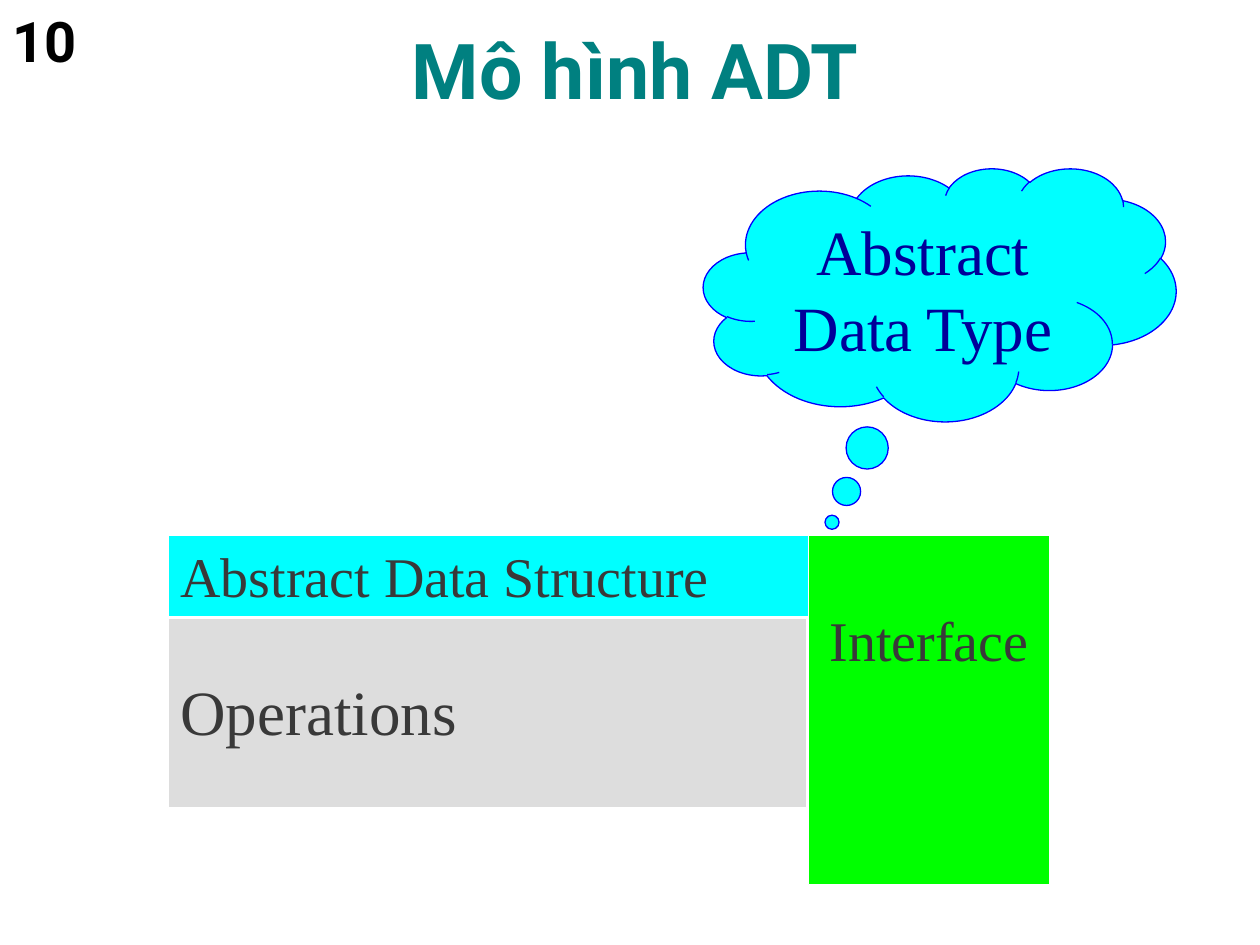
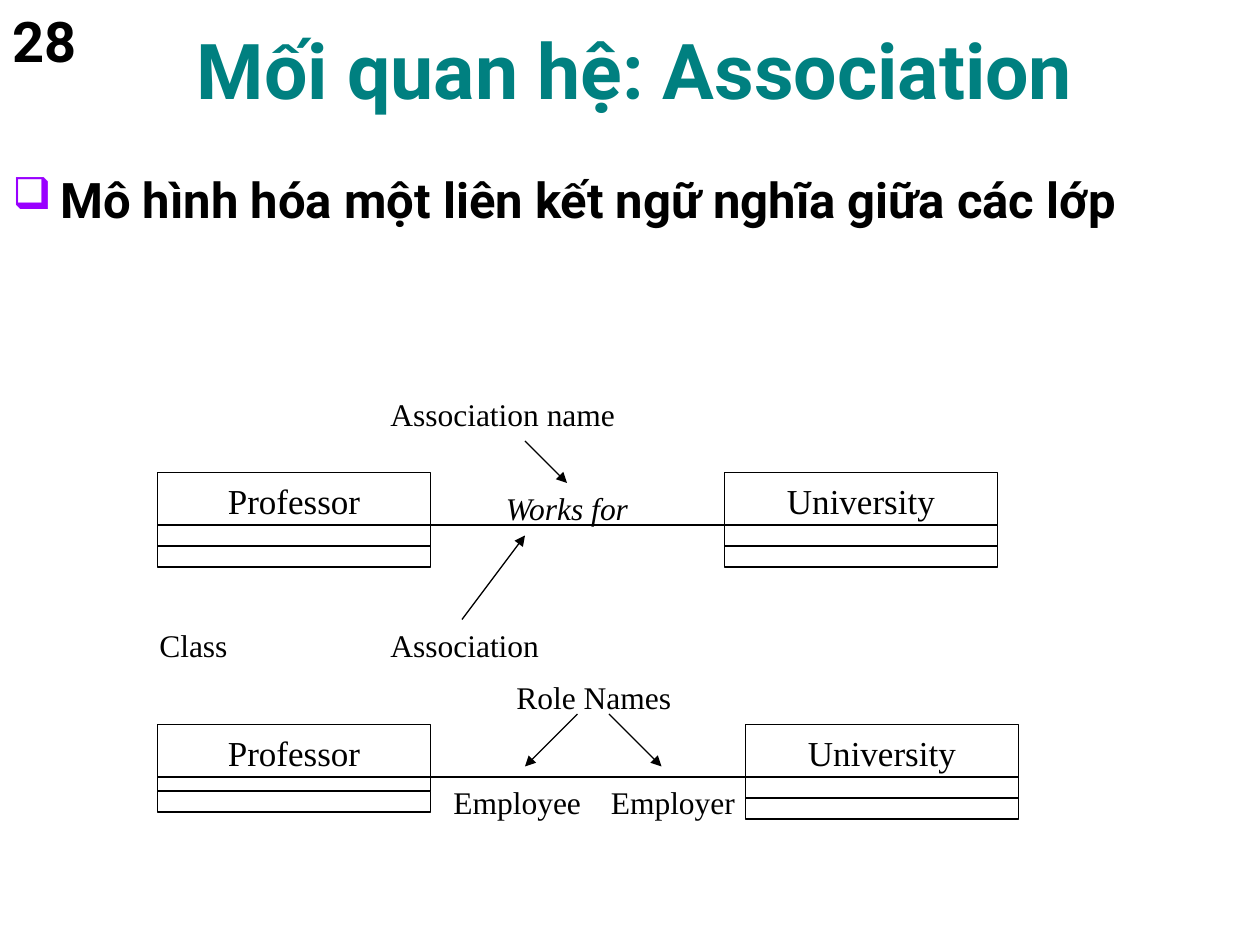
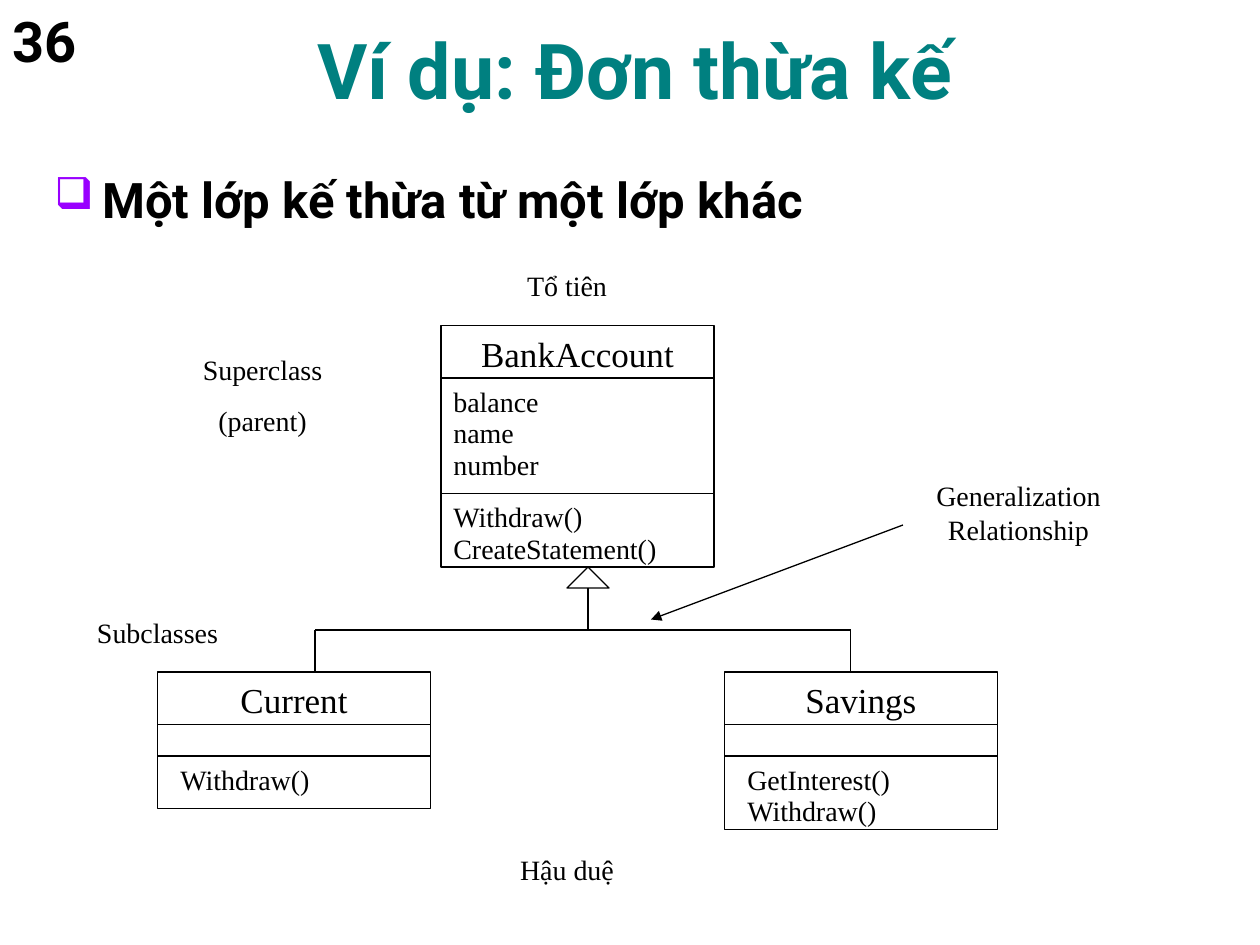
from dataclasses import dataclass

from lxml.etree import SubElement
from pptx import Presentation
from pptx.dml.color import RGBColor
from pptx.enum.shapes import MSO_CONNECTOR, MSO_SHAPE
from pptx.enum.text import MSO_ANCHOR, PP_ALIGN
from pptx.oxml.ns import qn
from pptx.util import Emu, Inches, Pt

# Grid: 120 columns by 90 rows over the slide
WIDE, TALL = Inches(10), Inches(7.5)
COL, ROW = WIDE / 120, TALL / 90

BLACK = RGBColor(0x00, 0x00, 0x00)
WHITE = RGBColor(0xFF, 0xFF, 0xFF)
TEAL = RGBColor(0x00, 0x80, 0x80)
PURPLE = RGBColor(0x99, 0x00, 0xFF)
GREEN = RGBColor(0x00, 0xFF, 0x00)
CYAN = RGBColor(0x00, 0xFF, 0xFF)
BLUE = RGBColor(0x00, 0x00, 0xFF)
NAVY = RGBColor(0x00, 0x00, 0x99)
GRAY = RGBColor(0xDD, 0xDD, 0xDD)
DARK = RGBColor(0x39, 0x39, 0x39)

SANS, SERIF = "Roboto", "Times New Roman"
LEFT, MID = PP_ALIGN.LEFT, PP_ALIGN.CENTER
CARD_W, HEAD_H, STEP = 26, 5.25, 3


@dataclass(frozen=True)
class Area:
    col: float
    row: float
    wide: float
    tall: float

    def place(self) -> tuple[Emu, Emu, Emu, Emu]:
        return (Emu(round(self.col * COL)), Emu(round(self.row * ROW)),
                Emu(round(self.wide * COL)), Emu(round(self.tall * ROW)))


@dataclass(frozen=True)
class Style:
    size: float
    color: RGBColor = BLACK
    face: str = SERIF
    bold: bool = False
    slant: bool = False
    align: PP_ALIGN = LEFT
    mark: bool = False


@dataclass(frozen=True)
class Block:
    text: str
    area: Area
    fill: RGBColor
    style: Style
    drop: float = 0.05


@dataclass(frozen=True)
class Cell:
    tall: float
    items: tuple[str, ...] = ()


@dataclass(frozen=True)
class Card:
    name: str
    col: float
    row: float
    cells: tuple[Cell, ...]
    inset: float = 0


@dataclass(frozen=True)
class Line:
    start: tuple[float, float]
    end: tuple[float, float]
    arrow: bool = False


TITLE = Style(44, TEAL, SANS, bold=True, align=MID)
NUMBER = Style(32, face=SANS, bold=True)
BODY = Style(28, face=SANS, bold=True, mark=True)
NAME = Style(20, align=MID)
NOTE = Style(18)
SLANT = Style(18, slant=True)
ITEM = Style(16)
TAG = Style(16, align=MID)


# Text
def bullet(para) -> None:
    prop = para._p.get_or_add_pPr()
    prop.set("marL", str(Inches(0.38)))
    prop.set("indent", str(-Inches(0.38)))
    tint = SubElement(prop, qn("a:buClr"))
    SubElement(tint, qn("a:srgbClr"), val=str(PURPLE))
    SubElement(prop, qn("a:buSzPct"), val="90000")
    SubElement(prop, qn("a:buChar"), char="❑")
    para.line_spacing = 1.1


def write(frame, text: str, style: Style, gap: float = 0) -> None:
    frame.word_wrap = True
    frame.text = text
    for i, para in enumerate(frame.paragraphs):
        if style.mark:
            bullet(para)
        para.alignment = style.align
        if i:
            para.space_before = Pt(gap)
        font = para.font
        font.name, font.size = style.face, Pt(style.size)
        font.bold, font.italic = style.bold, style.slant
        font.color.rgb = style.color


def label(slide, text: str, area: Area, style: Style, gap: float = 0):
    box = slide.shapes.add_textbox(*area.place())
    write(box.text_frame, text, style, gap)
    return box


# Shapes
def shape(slide, kind: MSO_SHAPE, area: Area, fill: RGBColor = WHITE,
          edge: RGBColor = BLACK):
    form = slide.shapes.add_shape(kind, *area.place())
    form.shadow.inherit = False
    form.fill.solid()
    form.fill.fore_color.rgb = fill
    form.line.color.rgb = edge
    form.line.width = Pt(0.75)
    return form


def block(slide, data: Block) -> None:
    form = shape(slide, MSO_SHAPE.RECTANGLE, data.area, data.fill, WHITE)
    frame = form.text_frame
    write(frame, data.text, data.style)
    frame.vertical_anchor = MSO_ANCHOR.TOP
    frame.margin_top = Inches(data.drop)


def card(slide, data: Card) -> None:
    head = shape(slide, MSO_SHAPE.RECTANGLE,
                 Area(data.col, data.row, CARD_W, HEAD_H))
    write(head.text_frame, data.name, NAME)
    head.text_frame.vertical_anchor = MSO_ANCHOR.MIDDLE
    top = data.row + 5
    for cell in data.cells:
        shape(slide, MSO_SHAPE.RECTANGLE,
              Area(data.col, top, CARD_W, cell.tall))
        for i, item in enumerate(cell.items):
            label(slide, item, Area(data.col + data.inset, top + i * STEP,
                                    CARD_W - data.inset, 4.4), ITEM)
        top += cell.tall


def line(slide, data: Line) -> None:
    (x1, y1), (x2, y2) = data.start, data.end
    link = slide.shapes.add_connector(
        MSO_CONNECTOR.STRAIGHT, round(x1 * COL), round(y1 * ROW),
        round(x2 * COL), round(y2 * ROW))
    link.line.color.rgb = BLACK
    link.line.width = Pt(0.75)
    if data.arrow:
        SubElement(link.line._get_or_add_ln(), qn("a:tailEnd"),
                   type="triangle")
    SubElement(link._element.spPr, qn("a:effectLst"))


# Title and page number shared by all slides
def page(deck, title: str, num: int):
    slide = deck.slides.add_slide(deck.slide_layouts[6])
    box = label(slide, title, Area(4, 2, 113, 9.5), TITLE)
    box.text_frame.vertical_anchor = MSO_ANCHOR.BOTTOM
    label(slide, str(num), Area(0, 0, 13, 8.5), NUMBER)
    return slide


def model(deck) -> None:
    slide = page(deck, "Mô hình ADT", 10)
    for data in (
        Block("Interface", Area(77, 51, 23, 33.25), GREEN,
              Style(32, DARK, align=MID), 0.56),
        Block("Operations", Area(16, 58.9, 60.85, 18), GRAY,
              Style(36, DARK), 0.43),
        Block("Abstract Data Structure", Area(16, 51, 61, 7.7), CYAN,
              Style(32, DARK)),
    ):
        block(slide, data)
    cloud = shape(slide, MSO_SHAPE.CLOUD_CALLOUT, Area(67, 16, 45, 24.1),
                  CYAN, BLUE)
    cloud.adjustments[0], cloud.adjustments[1] = -0.228, 0.9
    write(cloud.text_frame, "Abstract Data Type", Style(36, NAVY, align=MID))
    cloud.text_frame.vertical_anchor = MSO_ANCHOR.TOP


def bond(deck) -> None:
    slide = page(deck, "Mối quan hệ: Association", 28)
    label(slide, "Mô hình hóa một liên kết ngữ nghĩa giữa các lớp",
          Area(0, 15, 120, 70), BODY)
    even = (Cell(2), Cell(2))
    for data in (
        Card("Professor", 15, 45, even),
        Card("University", 69, 45, even),
        Card("Professor", 15, 69, (Cell(1.35), Cell(2))),
        Card("University", 71, 69, even),
    ):
        card(slide, data)
    for text, col, row, wide, style in (
        ("Association name", 36, 37, 36, NOTE),
        ("Works for", 47, 46, 16, SLANT),
        ("Class", 14, 59, 13, NOTE),
        ("Association", 36, 59, 22, NOTE),
        ("Employee", 42, 74, 15, NOTE),
        ("Employer", 57, 74, 17, NOTE),
        ("Role Names", 48, 64, 21, NOTE),
    ):
        label(slide, text, Area(col, row, wide, 4.8), style)
    for data in (
        Line((41, 50), (69, 50)),
        Line((50, 42), (54, 46), True),
        Line((44, 59), (50, 51), True),
        Line((41, 74), (71, 74)),
        Line((55, 68), (50, 73), True),
        Line((58, 68), (63, 73), True),
    ):
        line(slide, data)


def heir(deck) -> None:
    slide = page(deck, "Ví dụ: Đơn thừa kế", 36)
    label(slide, "Một lớp kế thừa từ một lớp khác",
          Area(4, 15, 113, 70), BODY)
    for data in (
        Card("BankAccount", 42, 31,
             (Cell(11, ("balance", "name", "number")),
              Cell(7, ("Withdraw()", "CreateStatement()")))),
        Card("Current", 15, 64, (Cell(3), Cell(5, ("Withdraw()",))), 1),
        Card("Savings", 69, 64,
             (Cell(3), Cell(7, ("GetInterest()", "Withdraw()"))), 1),
    ):
        card(slide, data)
    # Inheritance tree
    shape(slide, MSO_SHAPE.ISOSCELES_TRIANGLE, Area(54, 54, 4, 2))
    for data in (
        Line((30, 60), (81, 60)),
        Line((30, 60), (30, 64)),
        Line((81, 60), (81, 64)),
        Line((56, 56), (56, 60)),
        Line((86, 50), (62, 59), True),
    ):
        line(slide, data)
    for text, col, row, tall in (
        ("Subclasses", 5, 58, 4.4),
        ("Superclass\n(parent)", 15, 33, 9.25),
        ("Tổ tiên", 44, 25, 4.4),
        ("Hậu duệ", 44, 80.6, 4.4),
        ("Generalization Relationship", 87, 45, 7.7),
    ):
        label(slide, text, Area(col, row, 20, tall), TAG, gap=10)


def main() -> None:
    deck = Presentation()
    deck.slide_width, deck.slide_height = WIDE, TALL
    for build in (model, bond, heir):
        build(deck)
    deck.save("out.pptx")


if __name__ == "__main__":
    main()
